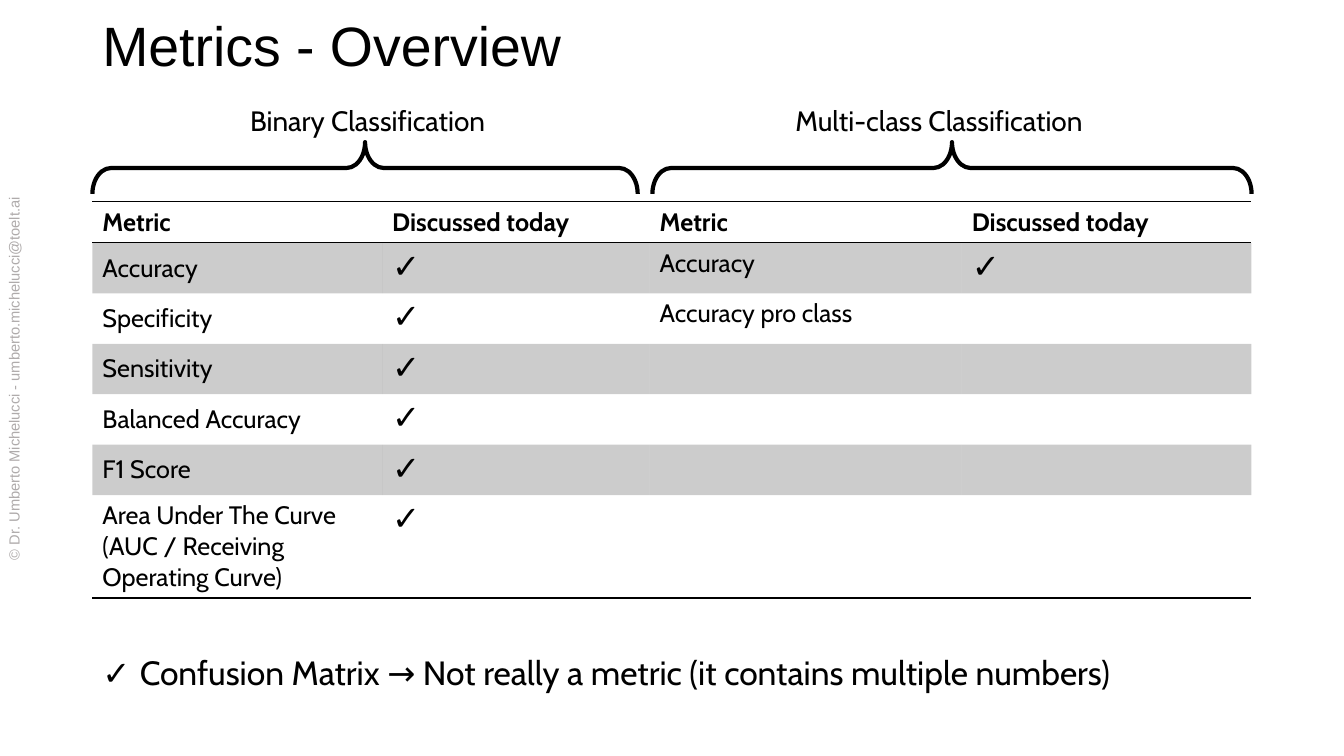
from lxml.etree import SubElement as Sub
from pptx import Presentation
from pptx.dml.color import RGBColor as RGB
from pptx.enum.shapes import MSO_SHAPE as Shape
from pptx.enum.text import MSO_ANCHOR as Anchor, PP_ALIGN as Align
from pptx.oxml.ns import qn
from pptx.util import Pt

BLACK = "000000"
TICK = "✓"
PLAIN = "{2D5ABB26-0587-4C30-8999-92F81FD0307C}"
WIDTHS = [207, 191, 223, 207]
HEIGHTS = [29.5] + [34] * 5 + [73.5]
ROWS = [
    ["Metric", "Discussed today", "Metric", "Discussed today"],
    ["Accuracy", TICK, "Accuracy", TICK],
    ["Specificity", TICK, "Accuracy pro class", ""],
    ["Sensitivity", TICK, "", ""],
    ["Balanced Accuracy", TICK, "", ""],
    ["F1 Score", TICK, "", ""],
    ["Area Under The Curve (AUC / Receiving Operating Curve)", TICK, "", ""],
]


def paint(target, color):
    """Set a font, fill or line colour from a hex string."""
    target.rgb = RGB.from_string(color)


def add_run(para, text, size, face="Cabin", color=BLACK, bold=False):
    """Add one styled run to a paragraph."""
    run = para.add_run()
    run.text = text
    run.font.size, run.font.name, run.font.bold = Pt(size), face, bold
    paint(run.font.color, color)


def add_text(slide, box, runs, align=Align.LEFT, anchor=Anchor.TOP, turn=0):
    """Add a wrapped text box holding one paragraph of runs."""
    shape = slide.shapes.add_textbox(*map(Pt, box))
    shape.rotation = turn
    frame = shape.text_frame
    frame.word_wrap = True
    frame.vertical_anchor = anchor
    para = frame.paragraphs[0]
    para.alignment = align
    for run in runs:
        add_run(para, *run)
    return para


def add_brace(slide, left, top, width, height):
    """Add a curly brace that opens downward over the given area."""
    x = left + (width - height) / 2
    y = top + (height - width) / 2
    brace = slide.shapes.add_shape(Shape.LEFT_BRACE, Pt(x), Pt(y), Pt(height), Pt(width))
    brace.rotation = 90
    brace.adjustments[0] = 0.358
    brace.shadow.inherit = False
    brace.fill.background()
    paint(brace.line.color, BLACK)
    brace.line.width = Pt(3)


def add_rule(cell, side):
    """Draw a thin black border on one side of a cell."""
    line = Sub(cell._tc.get_or_add_tcPr(), qn(f"a:ln{side}"), w=str(Pt(1)))
    Sub(Sub(line, qn("a:solidFill")), qn("a:srgbClr"), val=BLACK)


def shade(cell):
    """Fill a cell with black at one fifth opacity."""
    cell.fill.solid()
    paint(cell.fill.fore_color, BLACK)
    color = cell._tc.tcPr.find(".//" + qn("a:srgbClr"))
    Sub(color, qn("a:alpha"), val="20000")


def fill_cell(cell, text, row, col):
    """Write, rule and shade one cell by its place in the table."""
    if row == 0:
        add_rule(cell, "T")
    if row in (0, len(ROWS) - 1):
        add_rule(cell, "B")
    if row % 2:
        shade(cell)
    else:
        cell.fill.background()
    if row and col == 0:
        cell.vertical_anchor = Anchor.MIDDLE
    if text:
        look = (24, "Arial") if text == TICK else (18, "Cabin")
        add_run(cell.text_frame.paragraphs[0], text, *look, bold=row == 0)


def add_grid(slide, left, top):
    """Add the table of metrics."""
    size = map(Pt, (left, top, sum(WIDTHS), sum(HEIGHTS)))
    table = slide.shapes.add_table(len(ROWS), len(WIDTHS), *size).table
    table.first_row = table.horz_banding = False
    table._tbl.tblPr.find(qn("a:tableStyleId")).text = PLAIN
    for col, width in zip(table.columns, WIDTHS):
        col.width = Pt(width)
    for r, (height, texts) in enumerate(zip(HEIGHTS, ROWS)):
        table.rows[r].height = Pt(height)
        for c, text in enumerate(texts):
            fill_cell(table.cell(r, c), text, r, c)


def main():
    """Build the slide and save it."""
    deck = Presentation()
    deck.slide_width, deck.slide_height = Pt(960), Pt(540)
    slide = deck.slides.add_slide(deck.slide_layouts[6])
    title = add_text(slide, (66, 9.5, 828, 50),
                     [("Metrics - Overview", 39.6, "Arial")], anchor=Anchor.MIDDLE)
    title.line_spacing = 0.9
    add_grid(slide, 66, 144)
    add_text(slide, (66, 462, 842, 36), [
        (TICK + " ", 24, "Arial"),
        ("Confusion Matrix → Not really a metric (it contains multiple numbers)", 24),
    ])
    for left, name in ((171.5, "Binary"), (561, "Multi-class")):
        add_text(slide, (left, 70.5, 251, 31.5), [(name + " Classification", 20)])
    for left, width in ((66, 389.5), (466, 428)):
        add_brace(slide, left, 101.5, width, 37)
    add_text(slide, (-145.5, 260, 312, 21),
             [("© Dr. Umberto Michelucci - umberto.michelucci@toelt.ai", 10.5, "Arial", "AFABAB")],
             align=Align.CENTER, turn=270)
    deck.save("out.pptx")


if __name__ == "__main__":
    main()
